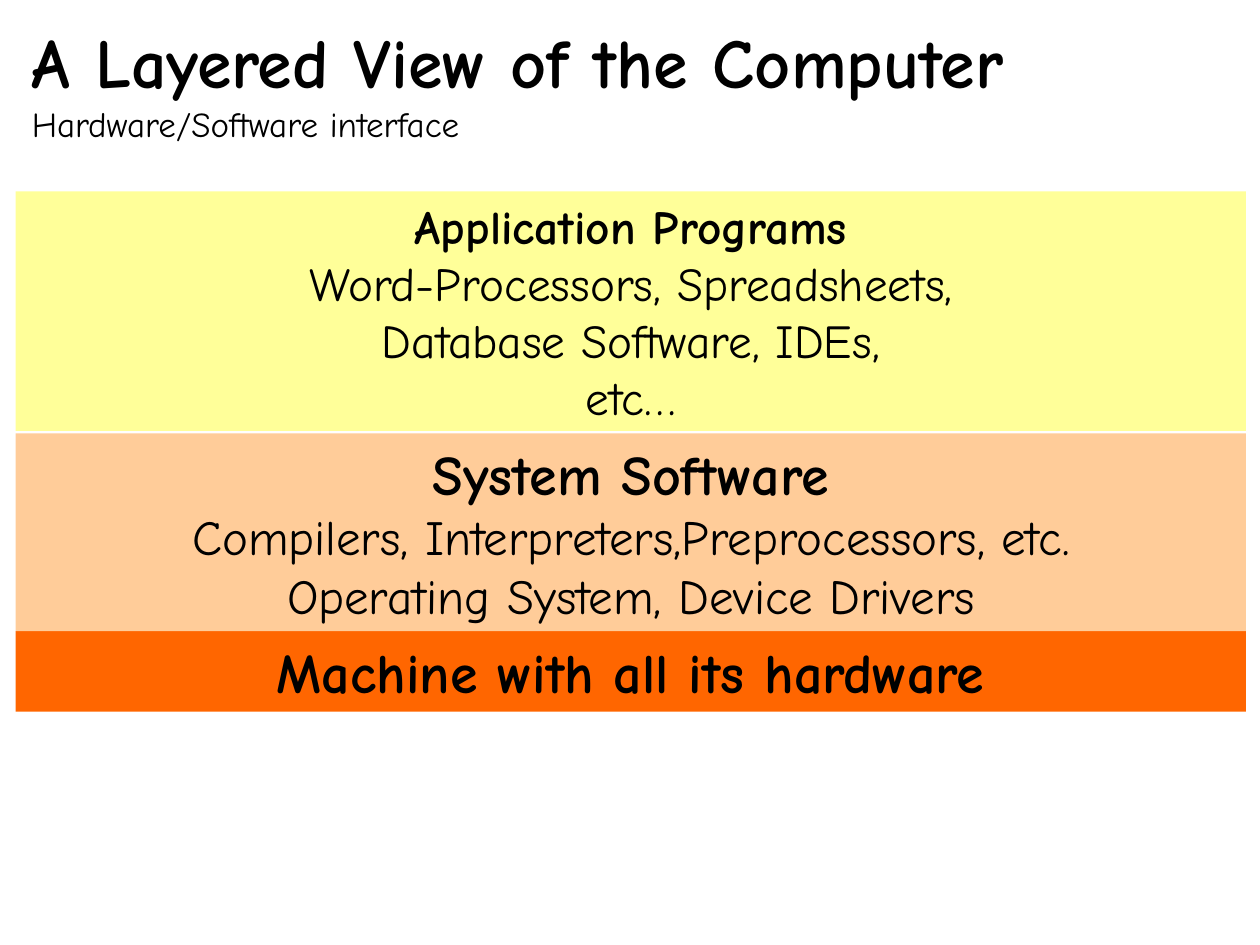
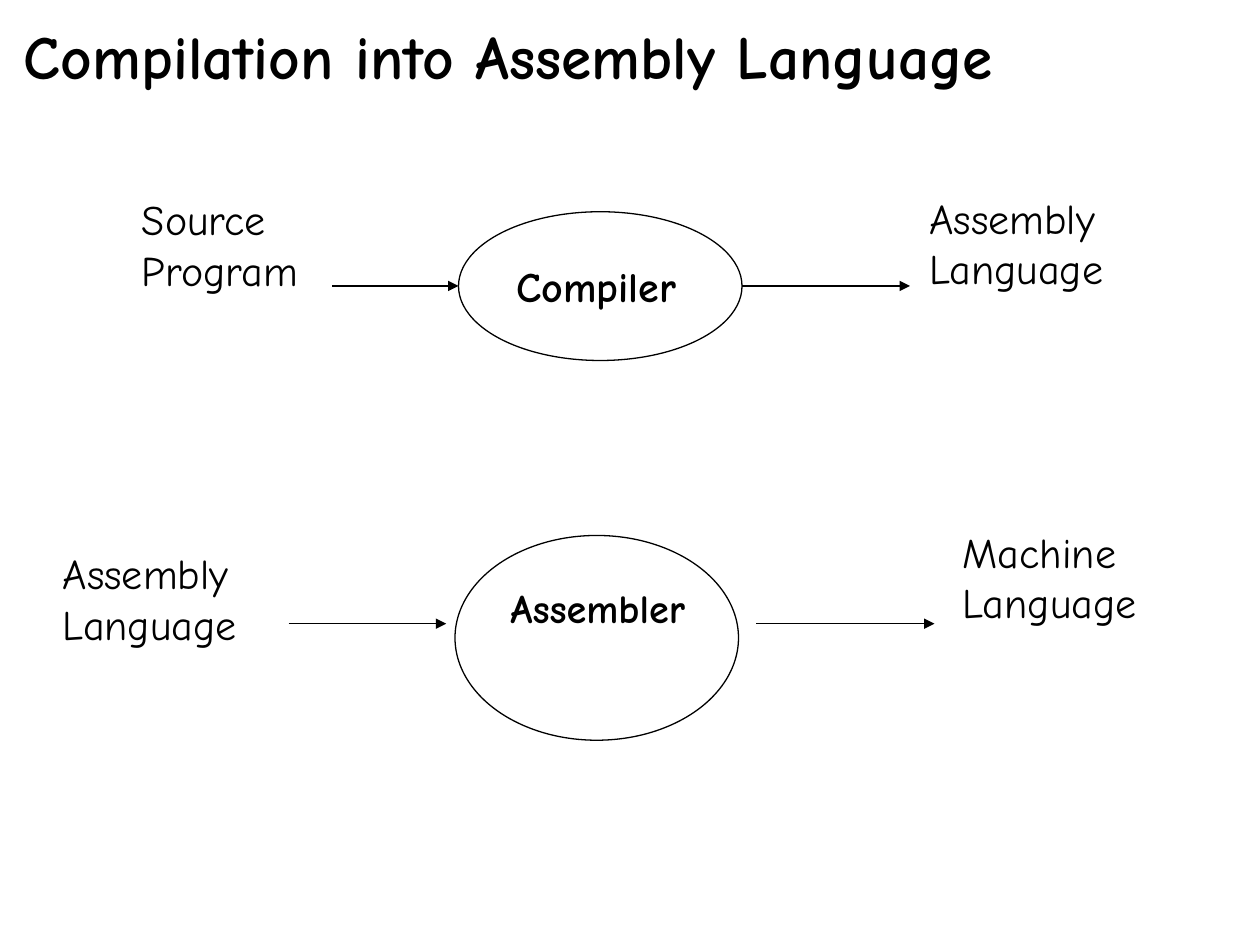
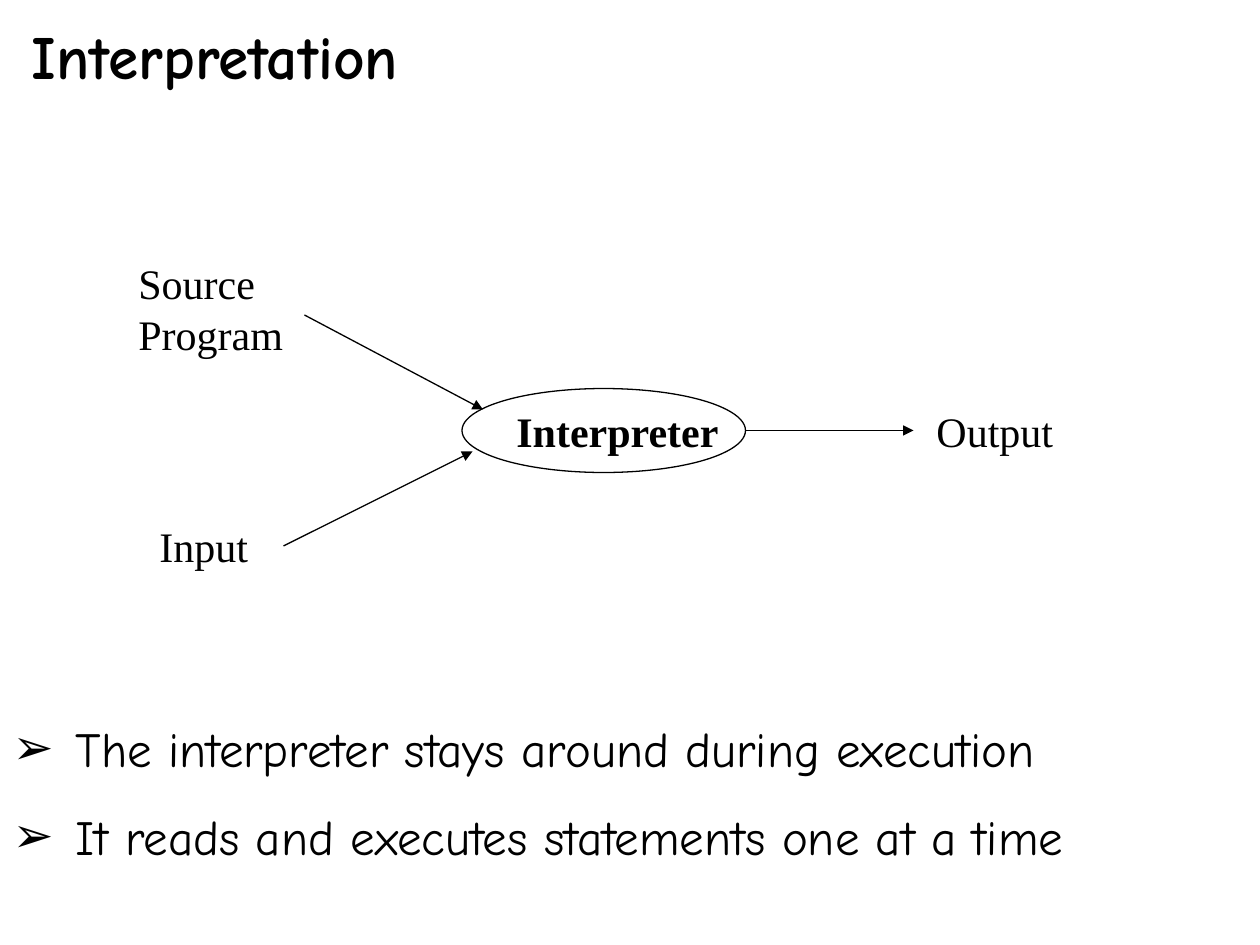
from pptx import Presentation
from pptx.dml.color import RGBColor
from pptx.enum.shapes import MSO_CONNECTOR, MSO_SHAPE
from pptx.enum.text import MSO_ANCHOR, MSO_AUTO_SIZE, PP_ALIGN
from pptx.oxml.ns import qn
from pptx.util import Pt
from lxml.etree import SubElement

COLOURS = {
    "ink": "000000",
    "application": "FFFF99",
    "system": "FFCC99",
    "machine": "FF6600",
}
COMIC = "Comic Neue"
TIMES = "Times New Roman"
LINE_WIDTH = 0.74
TITLE_ONLY, TITLE_AND_CONTENT = 5, 1


def colour(name):
    return RGBColor.from_string(COLOURS[name])


class Deck:
    def __init__(self):
        self.presentation = Presentation()
        self.presentation.slide_width = Pt(720)
        self.presentation.slide_height = Pt(540)
        self.slide = None
        self.font = COMIC

    def start(self, layout, font=COMIC):
        layouts = self.presentation.slide_layouts
        self.slide = self.presentation.slides.add_slide(layouts[layout])
        self.font = font

    def place(self, holder, left, top, width, height):
        holder.left, holder.top = Pt(left), Pt(top)
        holder.width, holder.height = Pt(width), Pt(height)

    def frame(self, holder, text):
        frame = holder.text_frame
        frame.text = text
        frame.word_wrap = True
        frame.auto_size = MSO_AUTO_SIZE.NONE
        frame.vertical_anchor = MSO_ANCHOR.TOP
        return frame

    def ink(self, run, size, bold=False, font=None):
        run.font.name = font or self.font
        run.font.size = Pt(size)
        run.font.bold = bold
        run.font.color.rgb = colour("ink")

    def title(self, text, left=11, size=35, subtitle=None):
        heading = self.slide.shapes.title
        self.place(heading, left, 7, 698, 79 if subtitle else 50)
        frame = self.frame(heading, text)
        if subtitle:
            frame.add_paragraph().text = subtitle
        for paragraph, points, bold in zip(frame.paragraphs, (size, 20), (True, False)):
            paragraph.alignment = PP_ALIGN.LEFT
            self.ink(paragraph.runs[0], points, bold, COMIC)

    def band(self, fill, top, height, heading, heading_size, details="", detail_size=None, before=20):
        layer = self.slide.shapes.add_shape(
            MSO_SHAPE.RECTANGLE, Pt(9), Pt(top), Pt(703), Pt(height))
        layer.shadow.inherit = False
        layer.fill.solid()
        layer.fill.fore_color.rgb = colour(fill)
        layer.line.fill.background()
        content = f"{heading}\v{details}" if details else heading
        paragraph = self.frame(layer, content).paragraphs[0]
        paragraph.alignment = PP_ALIGN.CENTER
        paragraph.space_before = Pt(before)
        first, *rest = paragraph.runs
        self.ink(first, heading_size, True)
        for run in rest:
            self.ink(run, detail_size)

    def label(self, text, left, top, width, height=36, size=24, bold=False, spacing=None):
        box = self.slide.shapes.add_textbox(Pt(left), Pt(top), Pt(width), Pt(height))
        for paragraph in self.frame(box, text).paragraphs:
            paragraph.space_before = Pt(15)
            if spacing:
                paragraph.line_spacing = spacing
            for run in paragraph.runs:
                self.ink(run, size, bold)

    def ellipse(self, left, top, height):
        stage = self.slide.shapes.add_shape(
            MSO_SHAPE.OVAL, Pt(left), Pt(top), Pt(162), Pt(height))
        stage.shadow.inherit = False
        stage.fill.background()
        stage.line.color.rgb = colour("ink")
        stage.line.width = Pt(LINE_WIDTH)

    def arrow(self, *ends):
        flow = self.slide.shapes.add_connector(MSO_CONNECTOR.STRAIGHT, *map(Pt, ends))
        flow.line.color.rgb = colour("ink")
        flow.line.width = Pt(LINE_WIDTH)
        SubElement(flow.line._get_or_add_ln(), qn("a:tailEnd"), type="triangle")
        SubElement(flow._element.spPr, qn("a:effectLst"))

    def bullets(self, items, top, height):
        body = self.slide.placeholders[1]
        self.place(body, 0, top, 720, height)
        for paragraph in self.frame(body, "\n".join(items)).paragraphs:
            paragraph.line_spacing = 1.5
            paragraph.space_before = Pt(0)
            properties = paragraph._p.get_or_add_pPr()
            properties.set("marL", str(Pt(36)))
            properties.set("indent", str(Pt(-36)))
            bullet_colour = SubElement(properties, qn("a:buClr"))
            SubElement(bullet_colour, qn("a:srgbClr"), val=COLOURS["ink"])
            SubElement(properties, qn("a:buChar"), char="➢")
            self.ink(paragraph.runs[0], 28, font=COMIC)


deck = Deck()

deck.start(TITLE_ONLY)
deck.title("A Layered View of the Computer", size=40, subtitle="Hardware/Software interface")
deck.band("machine", 360.7, 46, "Machine with all its hardware", 32)
deck.band("system", 247.7, 113, "System Software", 32,
          "Compilers, Interpreters,Preprocessors, etc.\vOperating System, Device Drivers",
          28, before=17.5)
deck.band("application", 109.3, 137, "Application Programs", 27,
          "Word-Processors, Spreadsheets,\vDatabase Software, IDEs,\vetc…",
          27, before=16.9)

deck.start(TITLE_ONLY)
deck.title("Compilation into Assembly Language", left=6.5)
deck.label("Compiler", 288, 145.5, 120, bold=True)
deck.label("Assembler", 284.5, 330, 132, size=23, bold=True)
deck.label("Source\nProgram", 74, 119.5, 108, 51, spacing=0.5)
deck.label("Assembly Language", 524, 106.5, 126, 65)
deck.label("Assembly Language", 28.8, 309.5, 142.5, 65)
deck.label("Machine\vLanguage", 543, 297.3, 117, 65)
deck.ellipse(262, 121, 85)
deck.ellipse(260, 306, 117)
for start, end, height in [(190, 262, 163.4), (424, 520, 163.4),
                           (165, 255, 356.4), (432, 534, 356.4)]:
    deck.arrow(start, height, end, height)

deck.start(TITLE_AND_CONTENT, font=TIMES)
deck.title("Interpretation")
deck.label("Interpreter", 288, 228, 132, bold=True)
deck.label("Source\nProgram", 72, 156, 108, 51, spacing=0.5)
deck.label("Input", 84, 294, 72)
deck.label("Output", 528, 228, 84)
deck.ellipse(264, 222, 48)
deck.arrow(174, 180, 276, 234)
deck.arrow(426, 246, 522, 246)
deck.arrow(162, 312, 270, 258)
deck.bullets(["The interpreter stays around during execution",
              "It reads and executes statements one at a time"], 390, 108)

deck.presentation.save("out.pptx")
